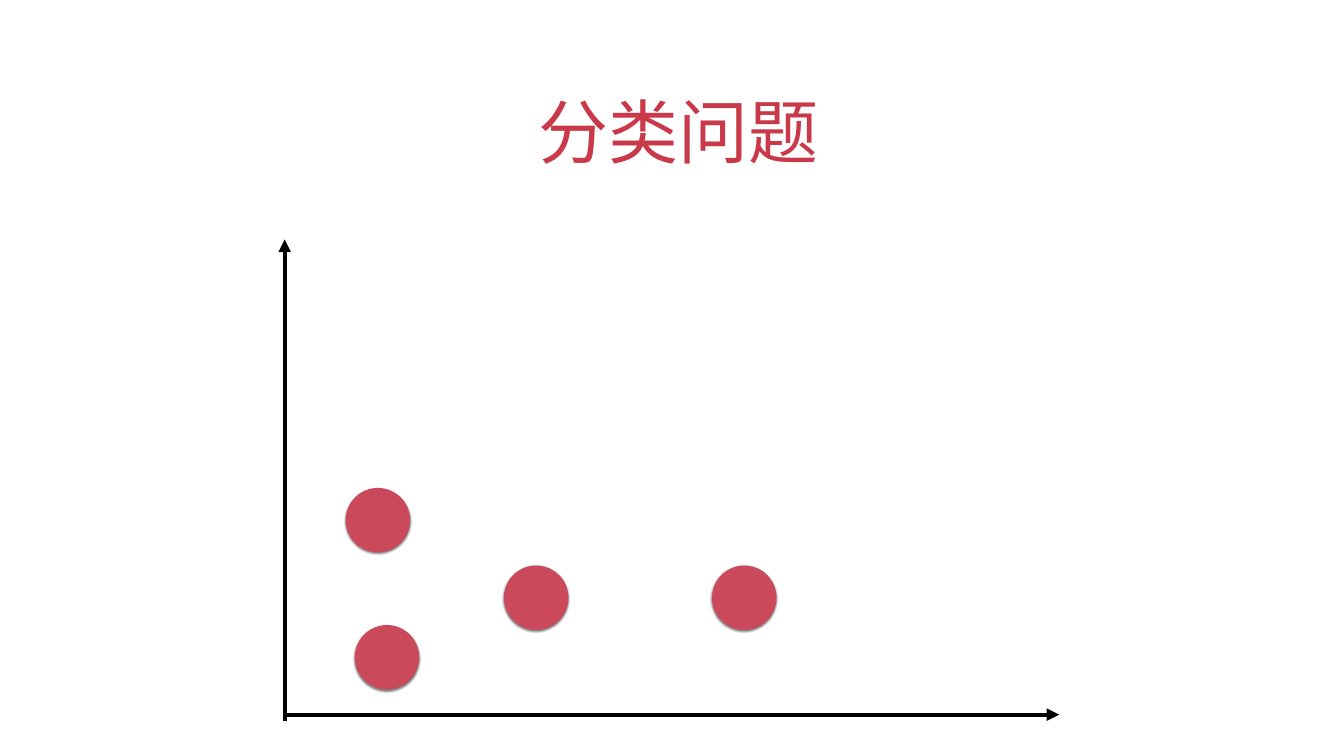
from dataclasses import dataclass

from lxml.etree import SubElement
from pptx import Presentation
from pptx.dml.color import RGBColor
from pptx.enum.shapes import MSO_CONNECTOR, MSO_SHAPE
from pptx.enum.text import MSO_ANCHOR, MSO_AUTO_SIZE, PP_ALIGN
from pptx.oxml.ns import qn
from pptx.util import Cm, Pt


@dataclass(frozen=True)
class Theme:
    font: str = "Arial"
    title_size: float = 100
    title_color: str = "C9394A"
    point_color: str = "CA495A"
    axis_color: str = "000000"
    axis_width: float = 6
    shadow_color: str = "000000"


THEME = Theme()
AXIS_X, AXIS_Y = 14.35, 36.02
POINT_SIZE = 3.25
POINTS = [(17.42, 24.59), (17.88, 31.5), (25.4, 28.5), (35.89, 28.5)]


def set_title(page, text):
    title = page.shapes.title
    title.left, title.top = Cm(4.93), Cm(3.23)
    title.width, title.height = Cm(57.86), Cm(5.64)
    frame = title.text_frame
    frame.auto_size = MSO_AUTO_SIZE.NONE
    frame.word_wrap = True
    frame.vertical_anchor = MSO_ANCHOR.BOTTOM
    frame.margin_left = frame.margin_right = Cm(0.15)
    frame.margin_top = frame.margin_bottom = Cm(0.15)
    para = frame.paragraphs[0]
    para.alignment = PP_ALIGN.CENTER
    properties = para._p.get_or_add_pPr()
    properties.set("marL", "0")
    properties.set("indent", str(Cm(0.64)))
    span = para.add_run()
    span.text = text
    span.font.name = THEME.font
    span.font.size = Pt(THEME.title_size)
    span.font.color.rgb = RGBColor.from_string(THEME.title_color)


def add_axis(group, start, end):
    ends = [Cm(value) for value in (*start, *end)]
    axis = group.shapes.add_connector(MSO_CONNECTOR.STRAIGHT, *ends)
    axis.line.color.rgb = RGBColor.from_string(THEME.axis_color)
    axis.line.width = Pt(THEME.axis_width)
    SubElement(axis.line._get_or_add_ln(), qn("a:tailEnd"), type="triangle")
    SubElement(axis._element.spPr, qn("a:effectLst"))


def add_soft_shadow(shape):
    """Give the shape a half-transparent shadow straight below it."""
    shape.shadow.inherit = False
    effects = shape._element.spPr.find(qn("a:effectLst"))
    shadow = SubElement(effects, qn("a:outerShdw"), blurRad=str(Pt(3)),
                        dist=str(Pt(2)), dir="5400000", rotWithShape="0")
    color = SubElement(shadow, qn("a:srgbClr"), val=THEME.shadow_color)
    SubElement(color, qn("a:alpha"), val="50000")


def add_point(group, left, top):
    point = group.shapes.add_shape(MSO_SHAPE.OVAL, Cm(left), Cm(top),
                                   Cm(POINT_SIZE), Cm(POINT_SIZE))
    point.fill.solid()
    point.fill.fore_color.rgb = RGBColor.from_string(THEME.point_color)
    point.line.fill.background()
    add_soft_shadow(point)


def main():
    deck = Presentation()
    deck.slide_width, deck.slide_height = Cm(67.74), Cm(38.1)
    page = deck.slides.add_slide(deck.slide_layouts[0])
    subtitle = page.placeholders[1]._element
    subtitle.getparent().remove(subtitle)

    set_title(page, "分类问题")
    plot = page.shapes.add_group_shape()
    add_axis(plot, (AXIS_X, AXIS_Y), (53.39, AXIS_Y))
    add_axis(plot, (AXIS_X, 36.32), (AXIS_X, 12.07))
    for left, top in POINTS:
        add_point(plot, left, top)
    deck.save("out.pptx")


if __name__ == "__main__":
    main()
